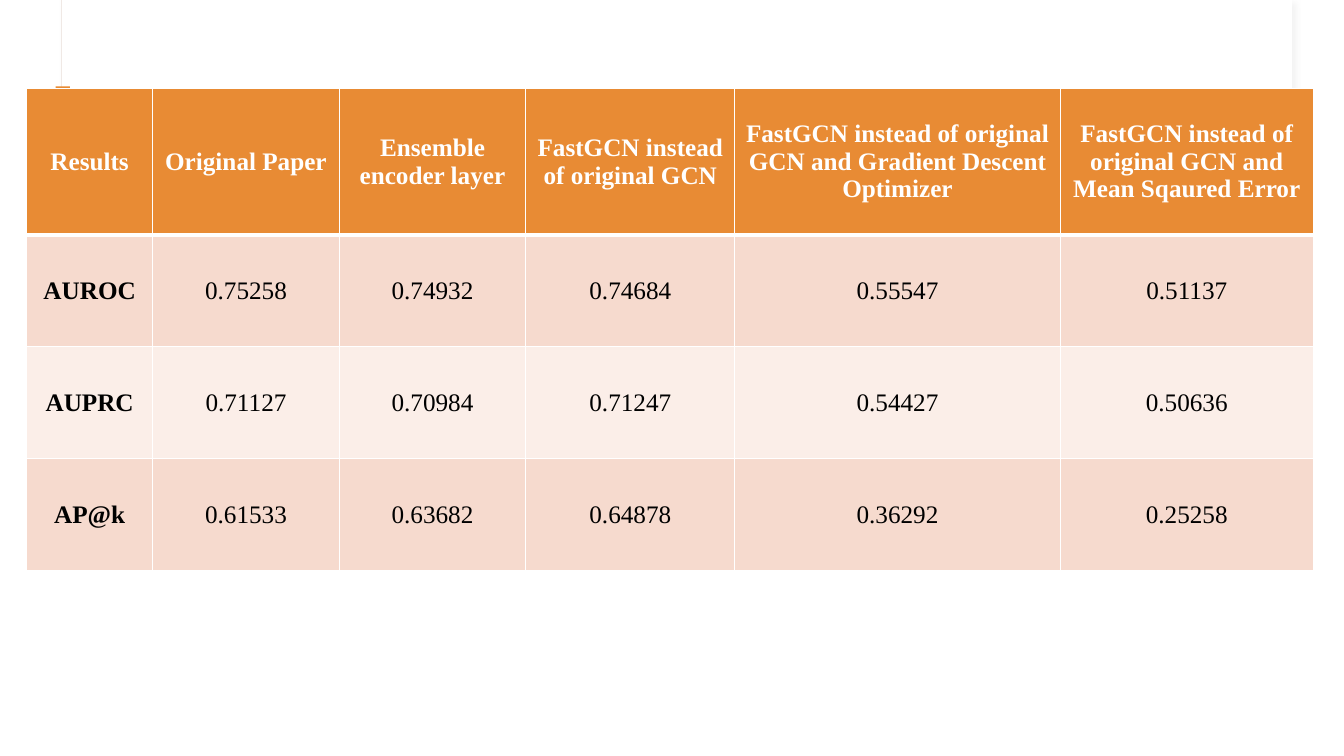
"""Build a slide with a table of model results."""
import lxml.etree
import pptx
import pptx.dml.color
import pptx.enum.shapes
import pptx.enum.text
import pptx.oxml
import pptx.oxml.ns
import pptx.util

Cm = pptx.util.Cm
WHITE, BLACK, ORANGE = "FFFFFF", "000000", "E88B34"
BANDS = ["F6DACE", "FBEEE8"]


def colour(value):
    return pptx.dml.color.RGBColor.from_string(value)


class SlideBuilder:
    font_format = {"name": "Times New Roman", "size": pptx.util.Pt(18)}

    def __init__(self, deck):
        self.slide = deck.slides.add_slide(deck.slide_layouts[6])

    def rectangle(self, left, top, width, height, fill, line=None):
        box = self.slide.shapes.add_shape(
            pptx.enum.shapes.MSO_SHAPE.RECTANGLE,
            Cm(left), Cm(top), Cm(width), Cm(height))
        box.shadow.inherit = False
        box.fill.solid()
        box.fill.fore_color.rgb = colour(fill)
        if line:
            box.line.color.rgb = colour(line)
            box.line.width = pptx.util.Pt(0.75)
        else:
            box.line.fill.background()
        return box

    def shadow(self, box, value):
        effects = box._element.spPr.find(pptx.oxml.ns.qn("a:effectLst"))
        effects.append(pptx.oxml.parse_xml(
            f'<a:outerShdw {pptx.oxml.ns.nsdecls("a")} blurRad="50800" '
            'dist="38100" dir="2700000" algn="tl" rotWithShape="0">'
            f'<a:srgbClr val="{value}"><a:alpha val="30000"/></a:srgbClr>'
            '</a:outerShdw>'))

    def border(self, cell, side, points):
        properties = cell._tc.get_or_add_tcPr()
        line = lxml.etree.SubElement(
            properties, pptx.oxml.ns.qn(f"a:ln{side}"),
            w=str(pptx.util.Pt(points)))
        fill = lxml.etree.SubElement(line, pptx.oxml.ns.qn("a:solidFill"))
        lxml.etree.SubElement(fill, pptx.oxml.ns.qn("a:srgbClr"), val=WHITE)

    def cell(self, cell, text, fill, ink, bold, borders):
        for side, points in borders.items():
            self.border(cell, side, points)
        cell.fill.solid()
        cell.fill.fore_color.rgb = colour(fill)
        cell.vertical_anchor = pptx.enum.text.MSO_ANCHOR.MIDDLE
        para = cell.text_frame.paragraphs[0]
        para.alignment = pptx.enum.text.PP_ALIGN.CENTER
        span = para.add_run()
        span.text = text
        for name, value in {**self.font_format, "bold": bold}.items():
            setattr(span.font, name, value)
        span.font.color.rgb = colour(ink)

    def table(self, left, top, widths, heights, rows):
        table = self.slide.shapes.add_table(
            len(rows), len(widths), Cm(left), Cm(top),
            Cm(sum(widths)), Cm(sum(heights))).table
        for column, width in zip(table.columns, widths):
            column.width = Cm(width)
        for row, height in zip(table.rows, heights):
            row.height = Cm(height)
        for row_index, values in enumerate(rows):
            header = row_index == 0
            fill = ORANGE if header else BANDS[(row_index - 1) % 2]
            borders = {"L": 1, "R": 1, "T": 3 if row_index == 1 else 1,
                       "B": 3 if header else 1}
            for column_index, text in enumerate(values):
                self.cell(table.cell(row_index, column_index), text, fill,
                          WHITE if header else BLACK,
                          header or column_index == 0, borders)


deck = pptx.Presentation()
deck.slide_width, deck.slide_height = Cm(33.87), Cm(19.05)
page = SlideBuilder(deck)

panel = page.rectangle(1.55, 0, 31.01, 5.61, WHITE, "F0E9E5")
page.shadow(panel, "D9D9D9")
page.rectangle(1.57, 0, 30.99, 5.59, WHITE)
page.rectangle(1.4, 2.18, 0.36, 1.96, ORANGE)

results = [
    ["Results", "Original Paper", "Ensemble encoder layer",
     "FastGCN instead of original GCN",
     "FastGCN instead of original GCN and Gradient Descent Optimizer",
     "FastGCN instead of original GCN and Mean Sqaured Error"],
    ["AUROC", "0.75258", "0.74932", "0.74684", "0.55547", "0.51137"],
    ["AUPRC", "0.71127", "0.70984", "0.71247", "0.54427", "0.50636"],
    ["AP@k", "0.61533", "0.63682", "0.64878", "0.36292", "0.25258"],
]
page.table(0.67, 2.22, [3.18, 4.7, 4.7, 5.27, 8.2, 6.38],
           [3.7] + [2.82] * 3, results)

deck.save("out.pptx")
